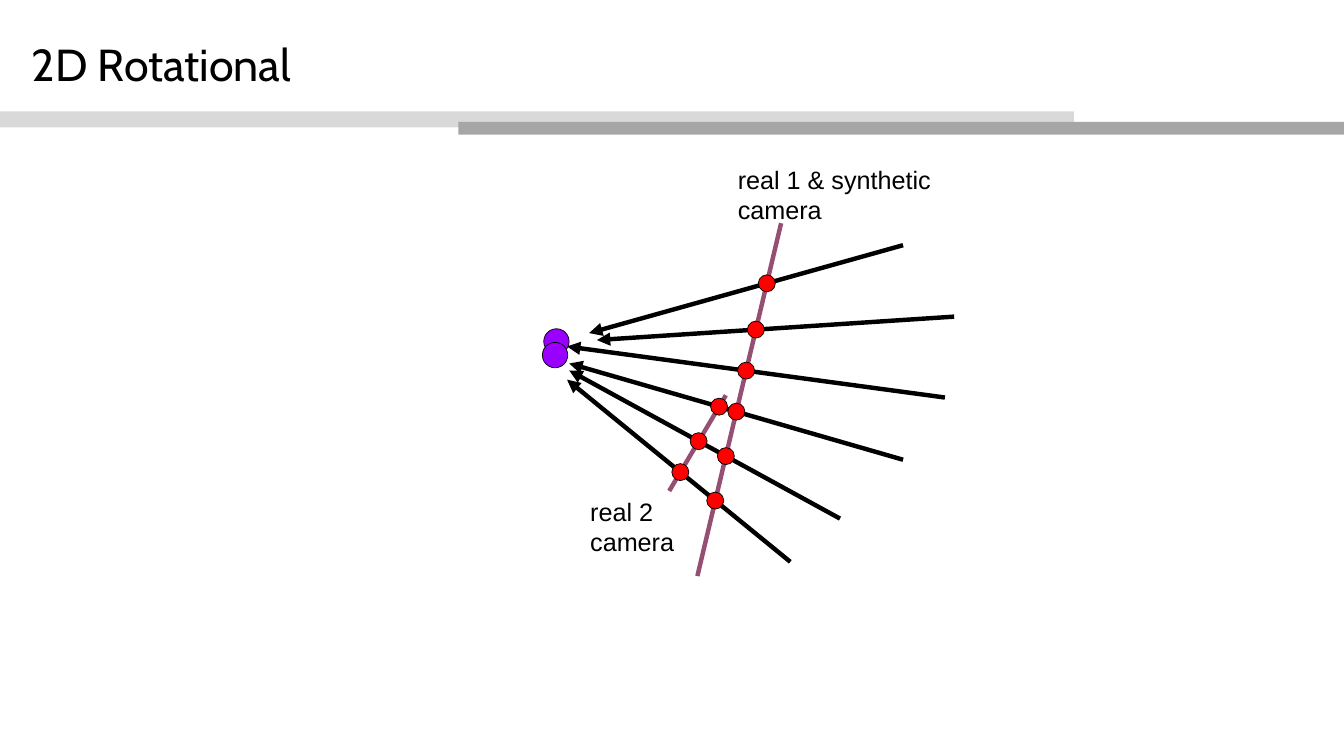
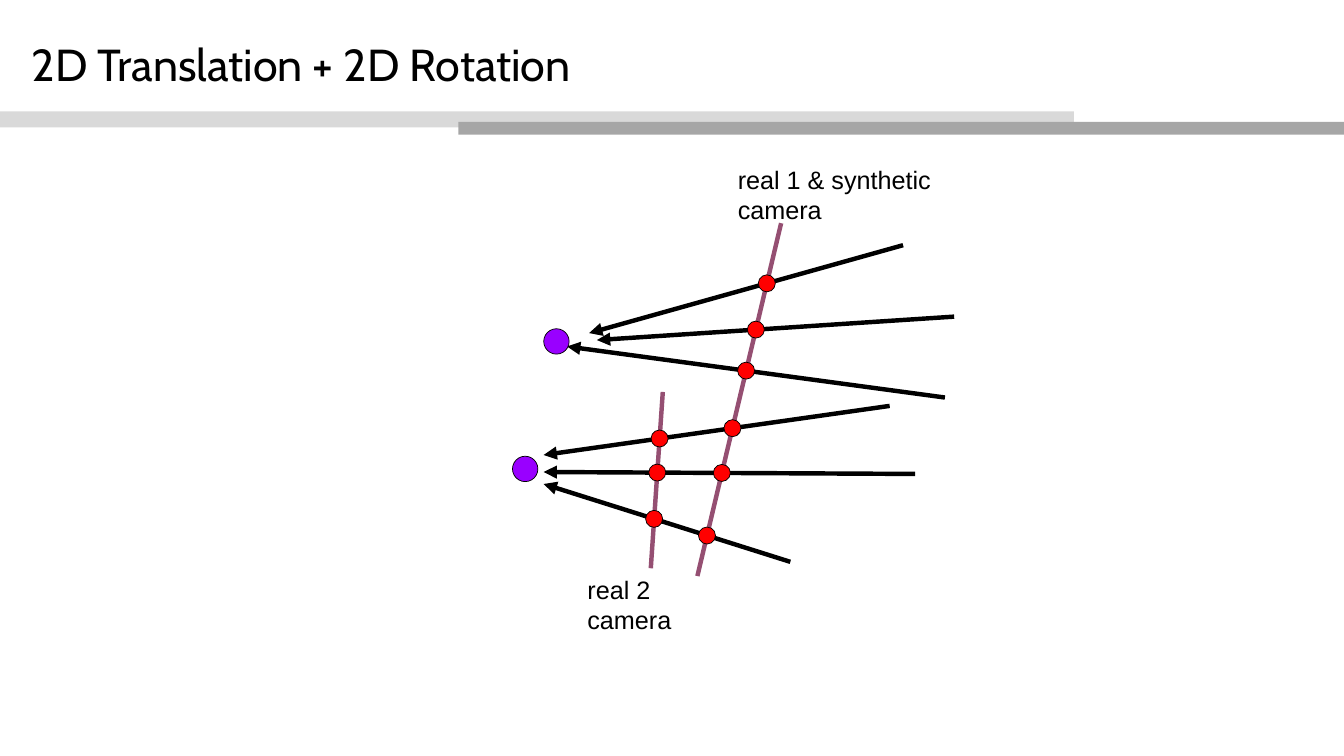
import pptx
import pptx.util
import pptx.dml.color
import pptx.enum.shapes
import pptx.enum.text
import pptx.oxml.ns
import pptx.oxml.xmlchemy
from pptx.util import Cm

COLORS = {
    "ink": "000000",
    "light": "D9D9D9",
    "dark": "A6A6A6",
    "eye": "9900FF",
    "plane": "954F72",
    "dot": "FF0000",
}
SHAPES = pptx.enum.shapes.MSO_SHAPE
FIT = pptx.enum.text.MSO_AUTO_SIZE

FRONT = (27.99, 8, 24.99, 20.65)
TOP_EYE = (19.94, 12.24)
TOP_RAYS = [
    (21.11, 11.94, 32.36, 8.79),
    (21.39, 12.19, 34.19, 11.35),
    (20.32, 12.42, 33.86, 14.25),
]
SCENES = [
    {
        "title": "2D Rotational",
        "eye": (19.89, 12.73),
        "rays": [
            (20.4, 13.03, 32.36, 16.48),
            (20.4, 13.28, 30.1, 18.59),
            (20.32, 13.61, 28.32, 20.14),
        ],
        "plane": (26.01, 14.17, 23.98, 17.6),
        "label": (20.9, 17.65),
    },
    {
        "title": "2D Translation + 2D Rotation",
        "eye": (18.82, 16.81),
        "rays": [
            (19.48, 16.31, 31.88, 14.55),
            (19.48, 16.92, 32.79, 16.99),
            (19.48, 17.35, 28.32, 20.14),
        ],
        "plane": (23.75, 14.05, 23.32, 20.37),
        "label": (20.8, 20.47),
    },
]


def tint(name):
    return pptx.dml.color.RGBColor.from_string(COLORS[name])


def write(frame, text, font="Arial", size=25.6, color="ink", spacing=None):
    for index, row in enumerate(text.split("\n")):
        para = frame.add_paragraph() if index else frame.paragraphs[0]
        para.alignment = pptx.enum.text.PP_ALIGN.LEFT
        para.line_spacing = spacing
        run = para.add_run()
        run.text = row
        run.font.name = font
        run.font.size = pptx.util.Pt(size)
        run.font.color.rgb = tint(color)


def cross(first, second):
    ax, ay, bx, by = first
    cx, cy, dx, dy = second
    ux, uy, vx, vy = bx - ax, by - ay, dx - cx, dy - cy
    part = ((cx - ax) * vy - (cy - ay) * vx) / (ux * vy - uy * vx)
    return ax + part * ux, ay + part * uy


class Deck:
    def __init__(self):
        self.show = pptx.Presentation()
        self.show.slide_width = Cm(48.16)
        self.show.slide_height = Cm(27.1)
        self.layout = self.show.slide_layouts[5]
        self.slide = None

    def start(self, text):
        first = self.slide is None
        self.slide = self.show.slides.add_slide(self.layout)
        if first:
            self.band(0, 3.99, 38.48, 0.58, "light")
            self.band(16.43, 4.37, 31.73, 0.46, "dark")
        title = self.slide.shapes.title
        title.left, title.top = Cm(0.89), Cm(0.56)
        title.width, title.height = Cm(46.3), Cm(3.66)
        frame = title.text_frame
        frame.auto_size = FIT.NONE
        frame.vertical_anchor = pptx.enum.text.MSO_ANCHOR.MIDDLE
        write(frame, text, font="Cabin", size=45.5, spacing=0.9)

    def shape(self, kind, left, top, width, height, color):
        item = self.slide.shapes.add_shape(
            kind, Cm(left), Cm(top), Cm(width), Cm(height))
        item.shadow.inherit = False
        item.fill.solid()
        item.fill.fore_color.rgb = tint(color)
        return item

    def band(self, left, top, width, height, color):
        item = self.shape(SHAPES.RECTANGLE, left, top, width, height, color)
        item.line.fill.background()
        self.layout.shapes.element.append(item.element)

    def disc(self, center, size, color):
        x, y = center
        item = self.shape(
            SHAPES.OVAL, x - size / 2, y - size / 2, size, size, color)
        item.line.color.rgb = tint("ink")
        item.line.width = pptx.util.Pt(0.75)

    def line(self, ends, color, arrow=False):
        link = self.slide.shapes.add_connector(
            pptx.enum.shapes.MSO_CONNECTOR.STRAIGHT, *map(Cm, ends))
        link.line.color.rgb = tint(color)
        link.line.width = pptx.util.Pt(4.5)
        props = link.element.spPr
        make = pptx.oxml.xmlchemy.OxmlElement
        if arrow:
            head = make("a:headEnd")
            head.set("type", "triangle")
            props.find(pptx.oxml.ns.qn("a:ln")).append(head)
        props.append(make("a:effectLst"))

    def label(self, left, top, width, text):
        box = self.slide.shapes.add_textbox(
            Cm(left), Cm(top), Cm(width), Cm(2.44))
        box.text_frame.word_wrap = False
        box.text_frame.auto_size = FIT.SHAPE_TO_FIT_TEXT
        write(box.text_frame, text)


def draw(deck, scene):
    deck.start(scene["title"])
    rays = TOP_RAYS + scene["rays"]
    for ray in rays:
        deck.line(ray, "ink", arrow=True)
    for plane in (scene["plane"], FRONT):
        deck.line(plane, "plane")
    for eye in (TOP_EYE, scene["eye"]):
        deck.disc(eye, 0.91, "eye")
    for plane, group in ((FRONT, rays), (scene["plane"], scene["rays"])):
        for ray in group:
            deck.disc(cross(ray, plane), 0.61, "dot")
    deck.label(26.19, 5.77, 7.52, "real 1 & synthetic\ncamera")
    deck.label(*scene["label"], 3.56, "real 2\ncamera")


def main():
    deck = Deck()
    for scene in SCENES:
        draw(deck, scene)
    deck.show.save("out.pptx")


if __name__ == "__main__":
    main()
